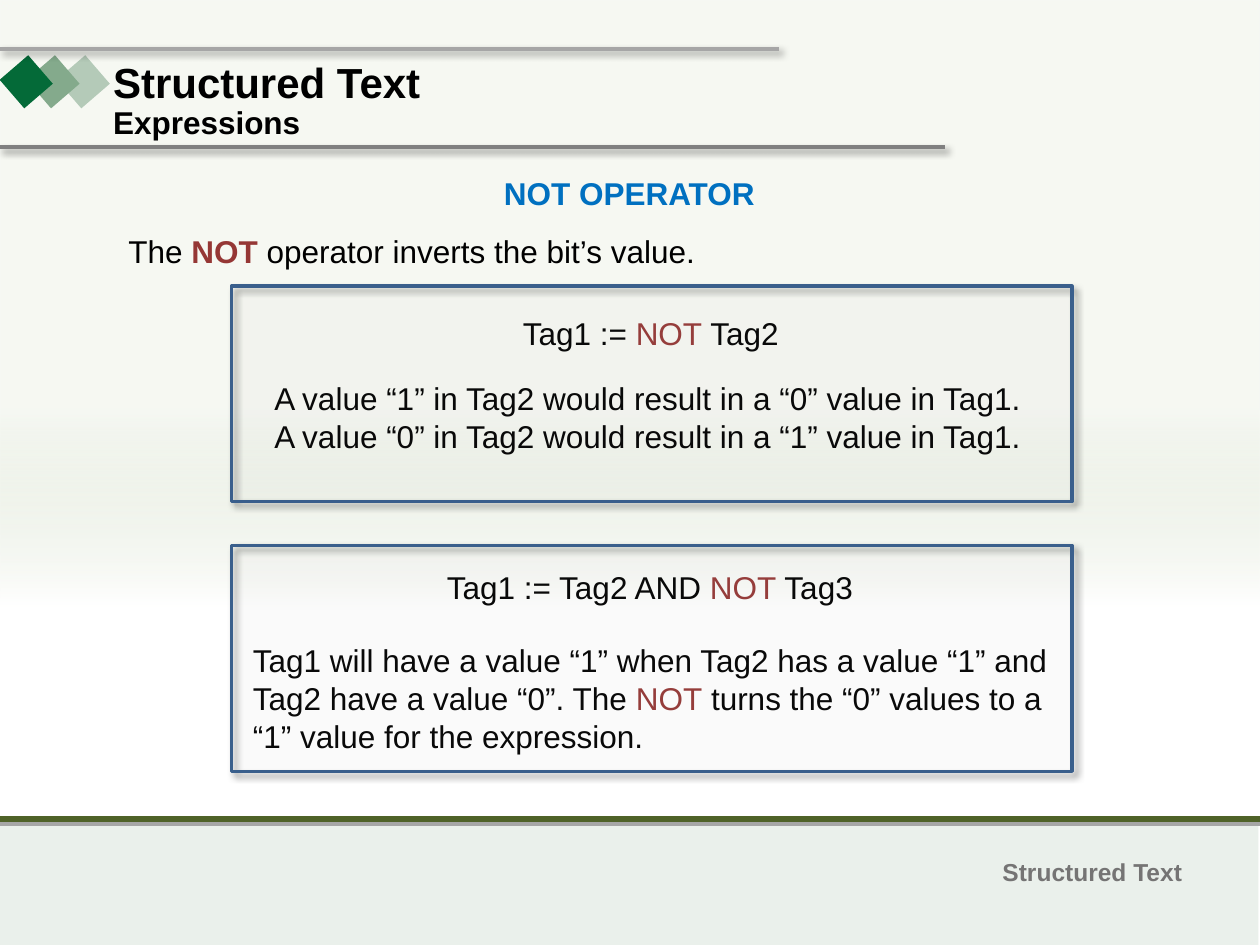
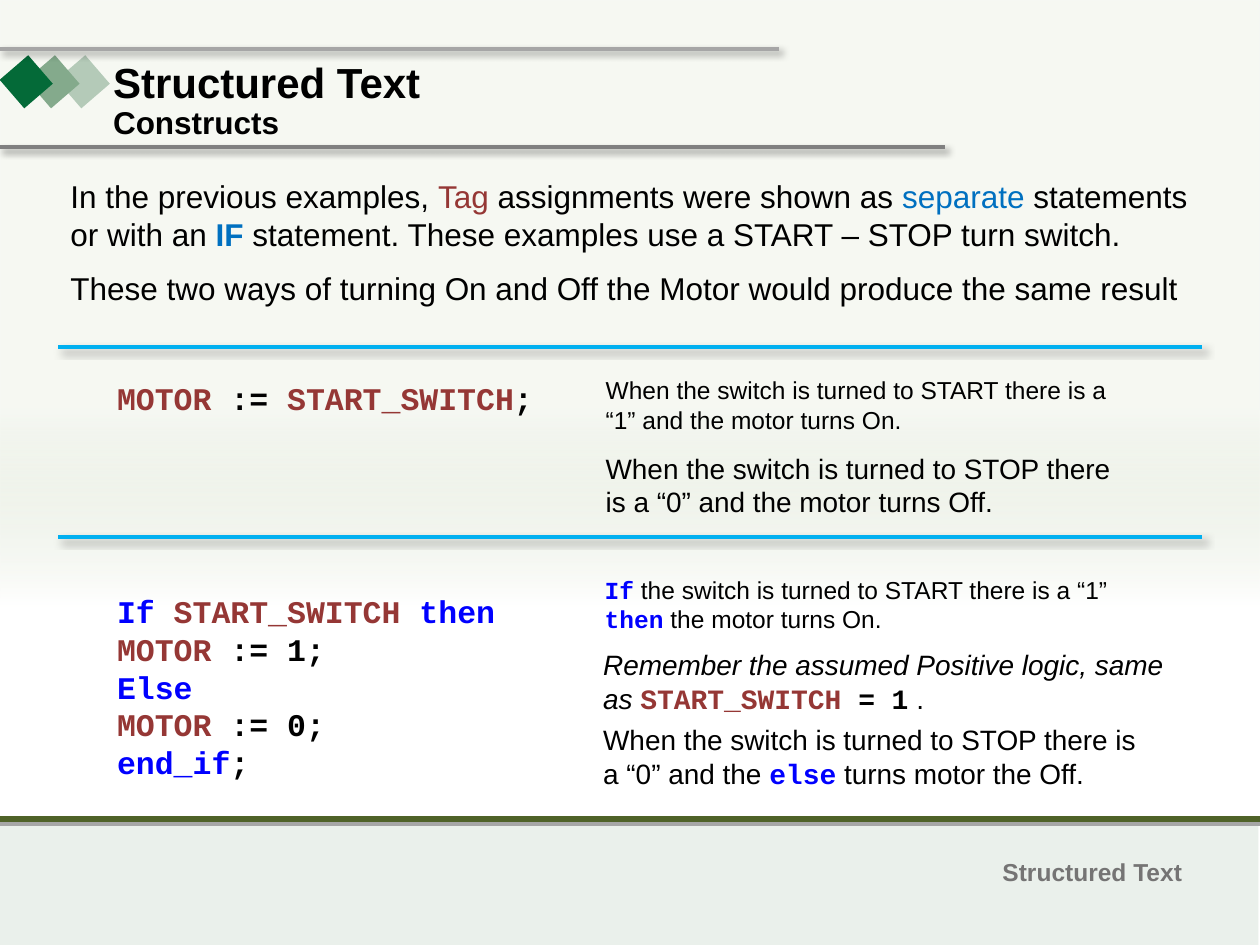
from lxml import etree
from pptx import Presentation
from pptx import util as u
from pptx.dml.color import RGBColor
from pptx.enum import shapes, text
from pptx.oxml import parse_xml
from pptx.util import Cm

BLACK = RGBColor(0x00, 0x00, 0x00)
WHITE = RGBColor(0xFF, 0xFF, 0xFF)
BRICK = RGBColor(0x95, 0x37, 0x35)
BLUE = RGBColor(0x00, 0x70, 0xC0)
KEYWORD_BLUE = RGBColor(0x00, 0x00, 0xFF)
SKY_BLUE = RGBColor(0x00, 0xB0, 0xF0)
PANEL_FILL = RGBColor(0xF2, 0xF2, 0xF2)
PANEL_EDGE = RGBColor(0x3A, 0x5F, 0x8C)
FOOTER_FILL = RGBColor(0xEA, 0xF0, 0xEB)
FOOTER_TEXT = RGBColor(0x75, 0x74, 0x74)
MOSS = RGBColor(0x4F, 0x62, 0x28)
SAGE = RGBColor(0xD1, 0xDC, 0xC3)
LIGHT_GREY = RGBColor(0xA6, 0xA6, 0xA6)
MID_GREY = RGBColor(0x80, 0x80, 0x80)
DIAMONDS = (
    (1.3, RGBColor(0xB4, 0xCA, 0xB8)),
    (0.69, RGBColor(0x84, 0xAA, 0x8C)),
    (0.15, RGBColor(0x04, 0x6A, 0x38)),
)

SANS = "Arial"
MONO = "Courier New"
WIDTH, HEIGHT = 25.4, 19.05
FOOTER_TOP = 16.51
DRAWING = "http://schemas.openxmlformats.org/drawingml/2006/main"


def plain(words, color=BLACK, bold=False, italic=False, font=SANS):
    return words, color, bold, italic, font


def code(words, color=BLACK):
    return plain(words, color, bold=True, font=MONO)


def keyword(words):
    return code(words, KEYWORD_BLUE)


def tag(words):
    return code(words, BRICK)


def set_effects(shape, shadow):
    effects = etree.SubElement(shape._element.spPr, f"{{{DRAWING}}}effectLst")
    if shadow:
        effects.append(parse_xml(
            f'<a:outerShdw xmlns:a="{DRAWING}" blurRad="50800" dist="38100" '
            'dir="2700000" algn="tl" rotWithShape="0"><a:srgbClr val="000000">'
            '<a:alpha val="40000"/></a:srgbClr></a:outerShdw>'))


def add_rect(page, left, top, width, height, color, edge=None, shadow=False):
    rect = page.shapes.add_shape(shapes.MSO_SHAPE.RECTANGLE, Cm(left), Cm(top),
                                 Cm(width), Cm(height))
    rect.fill.solid()
    rect.fill.fore_color.rgb = color
    if edge:
        rect.line.color.rgb = edge
        rect.line.width = u.Pt(2)
    else:
        rect.line.fill.background()
    set_effects(rect, shadow)
    return rect


def add_rule(page, left, right, y, color, weight=2.25, shadow=False):
    rule = page.shapes.add_connector(shapes.MSO_CONNECTOR.STRAIGHT,
                                     Cm(left), Cm(y), Cm(right), Cm(y))
    rule.line.color.rgb = color
    rule.line.width = u.Pt(weight)
    set_effects(rule, shadow)


def add_text(page, left, top, width, height, size, *paragraphs, wrap=True):
    box = page.shapes.add_textbox(Cm(left), Cm(top), Cm(width), Cm(height))
    frame = box.text_frame
    frame.word_wrap = wrap
    frame.auto_size = text.MSO_AUTO_SIZE.SHAPE_TO_FIT_TEXT
    for index, spans in enumerate(paragraphs):
        para = frame.add_paragraph() if index else frame.paragraphs[0]
        for words, color, bold, italic, font in spans:
            span = para.add_run()
            span.text = words
            span.font.size = u.Pt(size)
            span.font.name = font
            span.font.bold = bold
            span.font.italic = italic
            span.font.color.rgb = color
    return box


def add_line_of_text(page, left, top, width, *spans, size=18, height=1.02):
    add_text(page, left, top, width, height, size, spans, wrap=False)


def add_panel(page, top, height):
    panel = add_rect(page, 4.67, top, 16.94, height, PANEL_FILL, PANEL_EDGE, shadow=True)
    tint = panel._element.spPr.find(f"{{{DRAWING}}}solidFill")[0]
    etree.SubElement(tint, f"{{{DRAWING}}}alpha", val="4000")


def add_backdrop(page):
    backdrop = add_rect(page, 0, 0, WIDTH, FOOTER_TOP, WHITE)
    properties = backdrop._element.spPr
    gradient = parse_xml(
        f'<a:gradFill xmlns:a="{DRAWING}" rotWithShape="1"><a:gsLst>'
        f'<a:gs pos="50000"><a:srgbClr val="{SAGE}"><a:alpha val="20000"/></a:srgbClr></a:gs>'
        f'<a:gs pos="74000"><a:srgbClr val="{WHITE}"/></a:gs>'
        f'<a:gs pos="100000"><a:srgbClr val="{WHITE}"/></a:gs>'
        '</a:gsLst><a:lin ang="5400000" scaled="0"/></a:gradFill>')
    properties.replace(properties.find(f"{{{DRAWING}}}solidFill"), gradient)


def add_page(deck):
    page = deck.slides.add_slide(deck.slide_layouts[6])
    add_rect(page, -0.03, FOOTER_TOP, WIDTH, 2.54, FOOTER_FILL)
    add_backdrop(page)
    add_rule(page, 0, WIDTH, FOOTER_TOP + 0.1, LIGHT_GREY)
    add_rule(page, 0, WIDTH, FOOTER_TOP, MOSS, weight=3)
    add_line_of_text(page, 19.96, 17.15, 4.14,
                     plain("Structured Text", FOOTER_TEXT, bold=True), size=14, height=0.86)
    add_rule(page, -0.03, 19.05, 2.97, MID_GREY, shadow=True)
    for left, color in DIAMONDS:
        add_rect(page, left, 1.27, 0.76, 0.76, color).rotation = 49.2
    add_rule(page, -0.03, 15.7, 0.99, LIGHT_GREY, shadow=True)
    return page


def add_title(page, subtitle, width):
    add_text(page, 2.03, 1.02, 6.88, 1.27, 24, [plain("Structured Text", bold=True)])
    add_line_of_text(page, 2.03, 1.96, width, plain(subtitle, bold=True))


def build_expressions(deck):
    page = add_page(deck)
    add_line_of_text(page, 9.91, 3.38, 5.59, plain("NOT OPERATOR", BLUE, bold=True))
    add_line_of_text(page, 2.34, 4.55, 12.04, plain("The "),
                     plain("NOT", BRICK, bold=True),
                     plain(" operator inverts the bit’s value."))
    add_line_of_text(page, 10.29, 6.2, 5.72,
                     plain("Tag1 := "), plain("NOT", BRICK), plain(" Tag2"))
    add_text(page, 5.28, 7.52, 15.7, 1.8, 18,
             [plain("A value “1” in Tag2 would result in a “0” value in Tag1.")],
             [plain("A value “0” in Tag2 would result in a “1” value in Tag1.")],
             wrap=False)
    add_line_of_text(page, 8.76, 11.33, 8.94,
                     plain("Tag1 := Tag2 AND "), plain("NOT", BRICK), plain(" Tag3"))
    add_text(page, 4.85, 12.8, 16.54, 2.57, 18,
             [plain("Tag1 will have a value “1” when Tag2 has a value “1” and "
                    "Tag2 have a value “0”. The "),
              plain("NOT", BRICK),
              plain(" turns the “0” values to a “1” value for the expression.")])
    add_panel(page, 11, 4.55)
    add_panel(page, 5.77, 4.34)
    add_title(page, "Expressions", 4.32)


def build_constructs(deck):
    page = add_page(deck)
    intro = add_text(
        page, 1.17, 3.45, 23.06, 2.9, 18,
        [plain("In the previous examples, "), plain("Tag ", BRICK),
         plain("assignments were shown as "), plain("separate", BLUE),
         plain(" statements or with an "), plain("IF", BLUE, bold=True),
         plain(" statement. These examples use a START – STOP turn switch.")],
        [plain("These two ways of turning On and Off the Motor "
               "would produce the same result")])
    intro.text_frame.paragraphs[1].space_before = u.Pt(9.2)
    add_text(page, 2.11, 11.81, 8.18, 4.11, 18,
             [keyword("If "), tag("START_SWITCH "), keyword("then")],
             [tag("MOTOR"), code(" := 1;")],
             [keyword("Else")],
             [tag("MOTOR"), code(" := 0;")],
             [keyword("end_if"), code(";")], wrap=False)
    add_line_of_text(page, 2.11, 7.52, 8.94, tag("MOTOR"), code(" := "),
                     tag("START_SWITCH"), code(";"))
    for y in (6.99, 10.82):
        add_rule(page, 1.17, 24.23, y, SKY_BLUE, shadow=True)
    add_text(page, 11.96, 7.44, 10.8, 1.45, 14,
             [plain("When the switch is turned to START there is a “1” "
                    "and the motor turns On.")])
    add_text(page, 11.96, 8.97, 10.8, 1.63, 16,
             [plain("When the switch is turned to STOP there is a “0” "
                    "and the motor turns Off.")])
    add_text(page, 11.94, 11.46, 10.8, 1.45, 14,
             [keyword("If"), plain(" the switch is turned to START there is a “1” "),
              keyword("then"), plain(" the motor turns On.")])
    add_text(page, 11.91, 14.45, 11.33, 1.63, 16,
             [plain("When the switch is turned to STOP there is a “0” and the "),
              keyword("else"), plain(" turns motor the Off.")])
    add_text(page, 11.91, 12.93, 12.32, 1.63, 16,
             [plain("Remember the assumed Positive logic, same as ", italic=True),
              tag("START_SWITCH "), code("= 1"), plain(" .")])
    add_title(page, "Constructs", 3.89)


def main():
    deck = Presentation()
    deck.slide_width, deck.slide_height = Cm(WIDTH), Cm(HEIGHT)
    build_expressions(deck)
    build_constructs(deck)
    deck.save("out.pptx")


if __name__ == "__main__":
    main()
